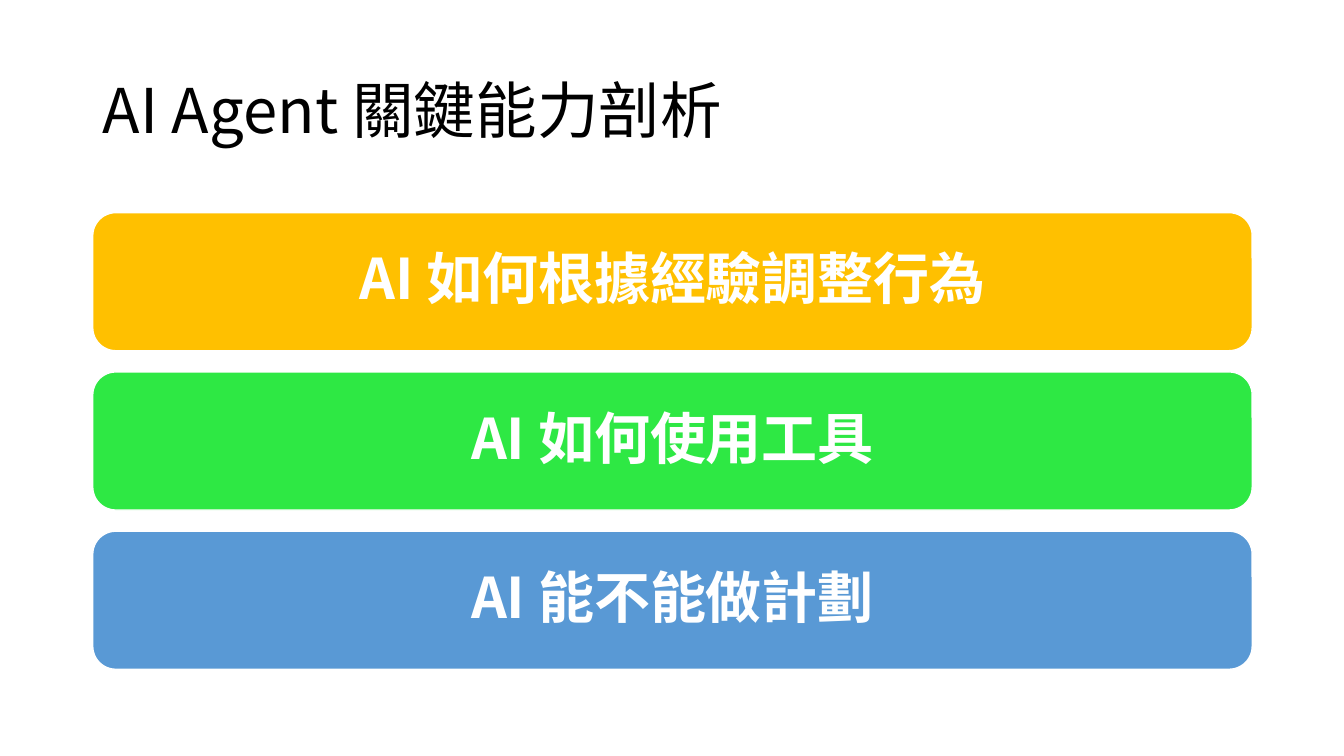
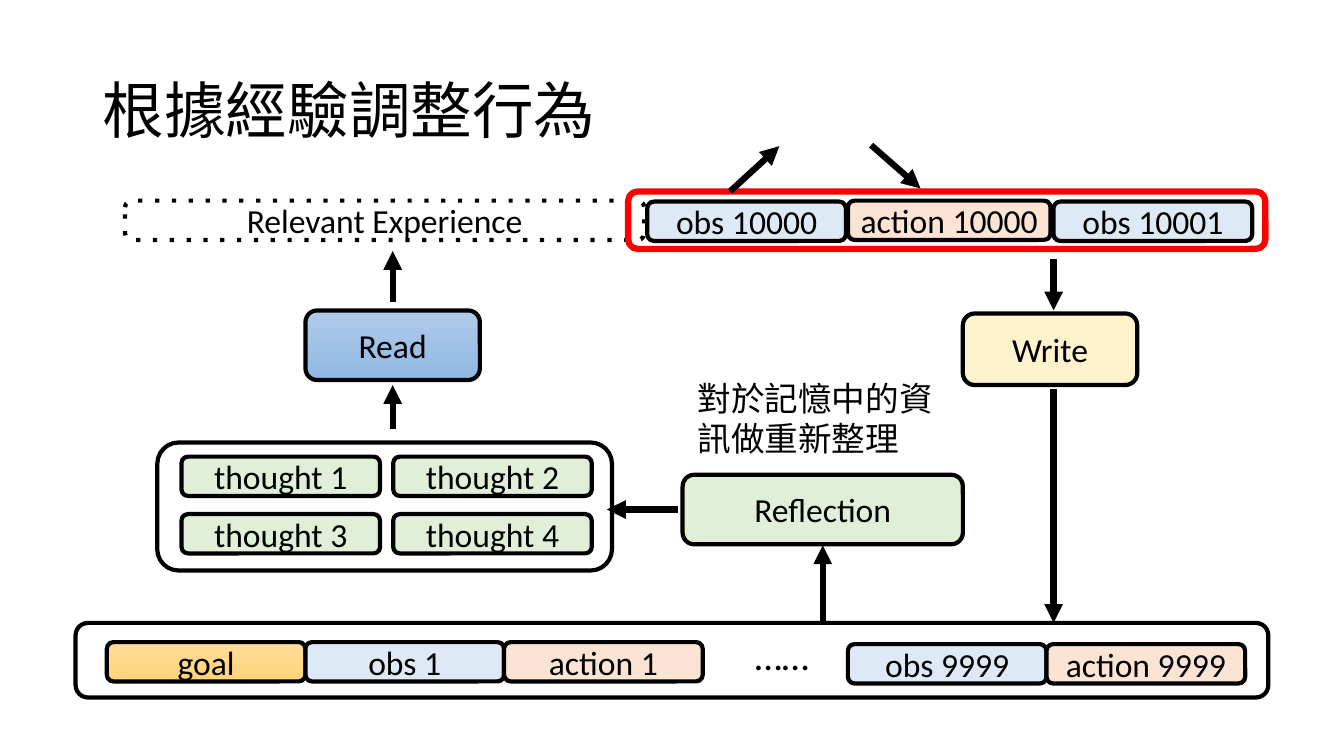
from dataclasses import dataclass

from lxml import etree
from pptx import Presentation
from pptx.dml.color import RGBColor
from pptx.enum.shapes import MSO_CONNECTOR, MSO_SHAPE
from pptx.enum.text import MSO_ANCHOR, PP_ALIGN
from pptx.oxml.ns import qn
from pptx.util import Inches, Pt

ROUNDED = MSO_SHAPE.ROUNDED_RECTANGLE
STRAIGHT = MSO_CONNECTOR.STRAIGHT
TOP, MIDDLE = MSO_ANCHOR.TOP, MSO_ANCHOR.MIDDLE
LEFT, CENTER = PP_ALIGN.LEFT, PP_ALIGN.CENTER


@dataclass(frozen=True)
class Theme:
    cjk: str = "Noto Sans CJK TC"
    latin: str = "Calibri"
    black: str = "000000"
    white: str = "FFFFFF"
    red: str = "FF0000"
    amber: str = "FFC000"
    green: str = "2EE844"
    blue: str = "5999D5"
    obs_fill: str = "DDEAF6"
    action_fill: str = "FBE4D4"
    thought_fill: str = "E1EFD8"
    write_fill: str = "FFF2CC"
    read_fill: tuple = ("B0CAE9", "90B8E4")
    goal_fill: tuple = ("FFDC9B", "FFD478")
    title_size: int = 44
    bar_size: int = 40
    dots_size: int = 28
    label_size: int = 24
    outline: float = 3
    heavy: float = 4.5


T = Theme()
CELL_W, CELL_H = 1.97, 0.39


def rgb(value):
    return RGBColor.from_string(value)


def put_text(sp, text, *, size=T.label_size, font=T.latin, color=T.black,
             bold=False, align=CENTER, anchor=MIDDLE, spacing=1.0):
    tf = sp.text_frame
    tf.word_wrap = True
    tf.vertical_anchor = anchor
    p = tf.paragraphs[0]
    p.alignment = align
    p.line_spacing = spacing
    r = p.add_run()
    r.text = text
    r.font.size = Pt(size)
    r.font.name = font
    r.font.bold = bold
    r.font.color.rgb = rgb(color)
    if font == T.cjk:
        ea = etree.SubElement(r.font._element, qn("a:ea"))
        ea.set("typeface", font)


def add_label(s, box, text, **fmt):
    sp = s.shapes.add_textbox(*map(Inches, box))
    put_text(sp, text, **fmt)


def add_box(s, box, text="", fill=None, line=T.black, width=T.outline,
            dotted=False, **fmt):
    """Rounded box; fill is a colour, a pair of gradient colours or None."""
    sp = s.shapes.add_shape(ROUNDED, *map(Inches, box))
    sp.shadow.inherit = False
    if fill is None:
        sp.fill.background()
    elif isinstance(fill, tuple):
        sp.fill.gradient()
        sp.fill.gradient_angle = 270
        for stop, color in zip(sp.fill.gradient_stops, fill):
            stop.color.rgb = rgb(color)
    else:
        sp.fill.solid()
        sp.fill.fore_color.rgb = rgb(fill)
    sp.line.color.rgb = rgb(line)
    sp.line.width = Pt(width)
    if dotted:
        ln = sp.element.spPr.find(qn("a:ln"))
        etree.SubElement(ln, qn("a:prstDash")).set("val", "dot")
    if text:
        put_text(sp, text, **fmt)


def add_arrow(s, x1, y1, x2, y2):
    c = s.shapes.add_connector(STRAIGHT, *map(Inches, (x1, y1, x2, y2)))
    c.line.color.rgb = rgb(T.black)
    c.line.width = Pt(T.heavy)
    spPr = c.element.spPr
    tail = etree.SubElement(spPr.find(qn("a:ln")), qn("a:tailEnd"))
    tail.set("type", "triangle")
    etree.SubElement(spPr, qn("a:effectLst"))


def add_titled_slide(prs, title):
    s = prs.slides.add_slide(prs.slide_layouts[6])
    add_label(s, (0.92, 0.4, 11.5, 1.45), title, size=T.title_size,
              font=T.cjk, align=LEFT, spacing=0.9)
    return s


def add_bars(s, box, bars):
    x, y, w, h = box
    gap = 0.21
    bar_h = (h - gap * (len(bars) - 1)) / len(bars)
    for i, (text, color) in enumerate(bars):
        add_box(s, (x, y + i * (bar_h + gap), w, bar_h), text, color,
                T.white, 1, size=T.bar_size, font=T.cjk, color=T.white,
                bold=True, spacing=0.9)


def add_row(s, x, y, cells, pitch=CELL_W, width=CELL_W):
    for i, (text, fill) in enumerate(cells):
        add_box(s, (x + i * pitch, y, width, CELL_H), text, fill)


def add_current_step(s, box):
    x, y, w, h = box
    add_box(s, (x - 4.99, y + 0.09, 5.15, CELL_H), "Relevant Experience",
            dotted=True)
    add_row(s, x + 0.19, y + 0.1,
            [("obs 10000", T.obs_fill), ("obs 10001", T.obs_fill)], pitch=4.03)
    add_row(s, x + 2.18, y + 0.09, [("action 10000", T.action_fill)],
            width=2.01)
    add_box(s, box, line=T.red, width=T.heavy)
    add_arrow(s, x + 1.01, y, x + 1.5, y - 0.45)
    add_arrow(s, x + 2.41, y - 0.46, x + 2.9, y - 0.03)


def add_thoughts(s, box):
    x, y, w, h = box
    add_box(s, box)
    for row in range(2):
        cells = [(f"thought {row * 2 + col}", T.thought_fill)
                 for col in (1, 2)]
        add_row(s, x + 0.24, y + 0.14 + row * 0.57, cells, pitch=2.1)


def add_memory(s, box):
    x, y, w, h = box
    add_box(s, box)
    add_row(s, x + 0.31, y + 0.19,
            [("goal", T.goal_fill), ("obs 1", T.obs_fill),
             ("action 1", T.action_fill)])
    add_label(s, (x + 6.23, y + 0.03, 1.55, 0.57), "……",
              size=T.dots_size, anchor=TOP)
    add_row(s, x + 7.66, y + 0.21,
            [("obs 9999", T.obs_fill), ("action 9999", T.action_fill)])


def add_read_step(s, box):
    x, y, w, h = box
    mid = x + w / 2
    add_box(s, box, "Read", T.read_fill)
    add_arrow(s, mid, y - 0.08, mid, y - 0.59)
    add_arrow(s, mid, y + h + 0.49, mid, y + h + 0.05)


def add_write_step(s, box):
    x, y, w, h = box
    mid = x + 0.9
    add_box(s, box, "Write", T.write_fill)
    add_arrow(s, mid, y - 0.54, mid, y - 0.03)
    add_arrow(s, mid, y + h + 0.04, mid, y + h + 2.36)


def add_reflection(s, box):
    x, y, w, h = box
    mid = x + w / 2
    add_box(s, box, "Reflection", T.thought_fill)
    add_label(s, (x + 0.05, y - 1.01, 2.65, 0.91), "對於記憶中的資訊做重新整理",
              font=T.cjk, align=LEFT, anchor=TOP)
    add_arrow(s, mid, y + h + 0.78, mid, y + h + 0.01)
    add_arrow(s, x - 0.05, y + h / 2, x - 0.75, y + h / 2)


def main():
    prs = Presentation()
    prs.slide_width, prs.slide_height = Inches(13.33), Inches(7.5)

    s = add_titled_slide(prs, "AI Agent 關鍵能力剖析")
    add_bars(s, (0.92, 2.11, 11.5, 4.53), [
        ("AI 如何根據經驗調整行為", T.amber),
        ("AI 如何使用工具", T.green),
        ("AI 能不能做計劃", T.blue),
    ])

    s = add_titled_slide(prs, "根據經驗調整行為")
    add_current_step(s, (6.23, 1.9, 6.32, 0.57))
    add_read_step(s, (3.03, 3.08, 1.73, 0.69))
    add_write_step(s, (9.55, 3.11, 1.73, 0.71))
    add_thoughts(s, (1.56, 4.39, 4.51, 1.27))
    add_reflection(s, (6.77, 4.71, 2.78, 0.69))
    add_memory(s, (0.75, 6.18, 11.83, 0.74))

    prs.save("out.pptx")


if __name__ == "__main__":
    main()
